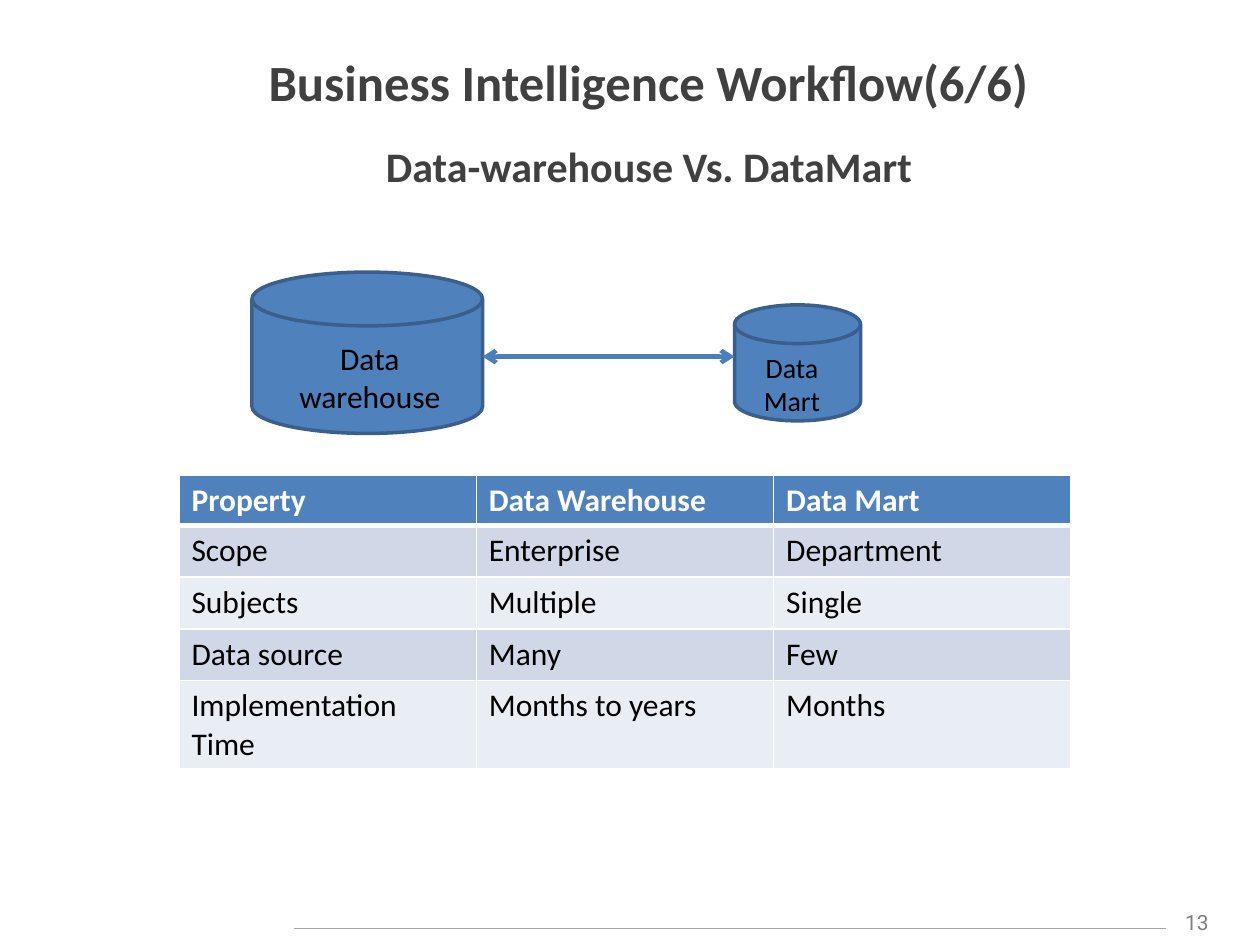
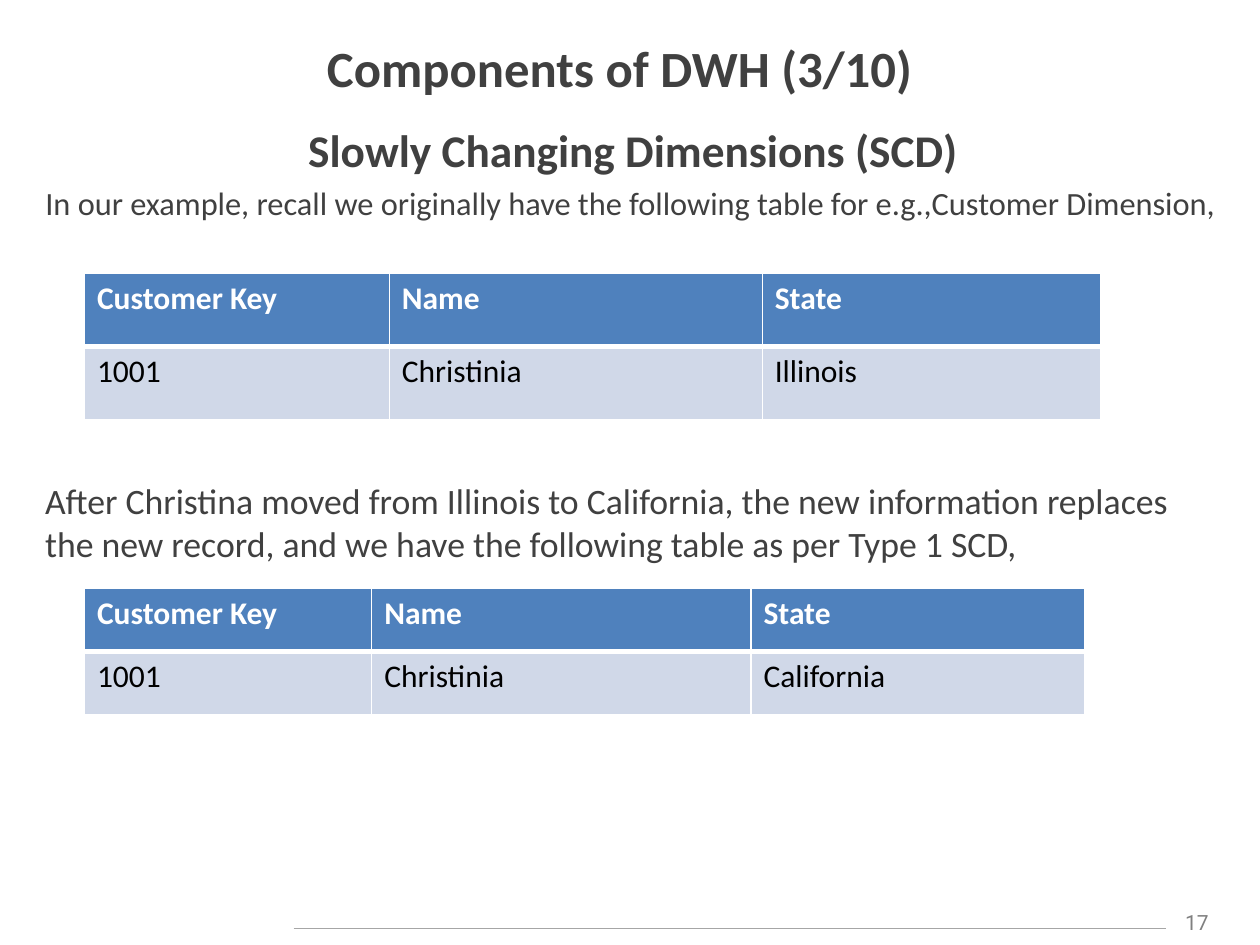
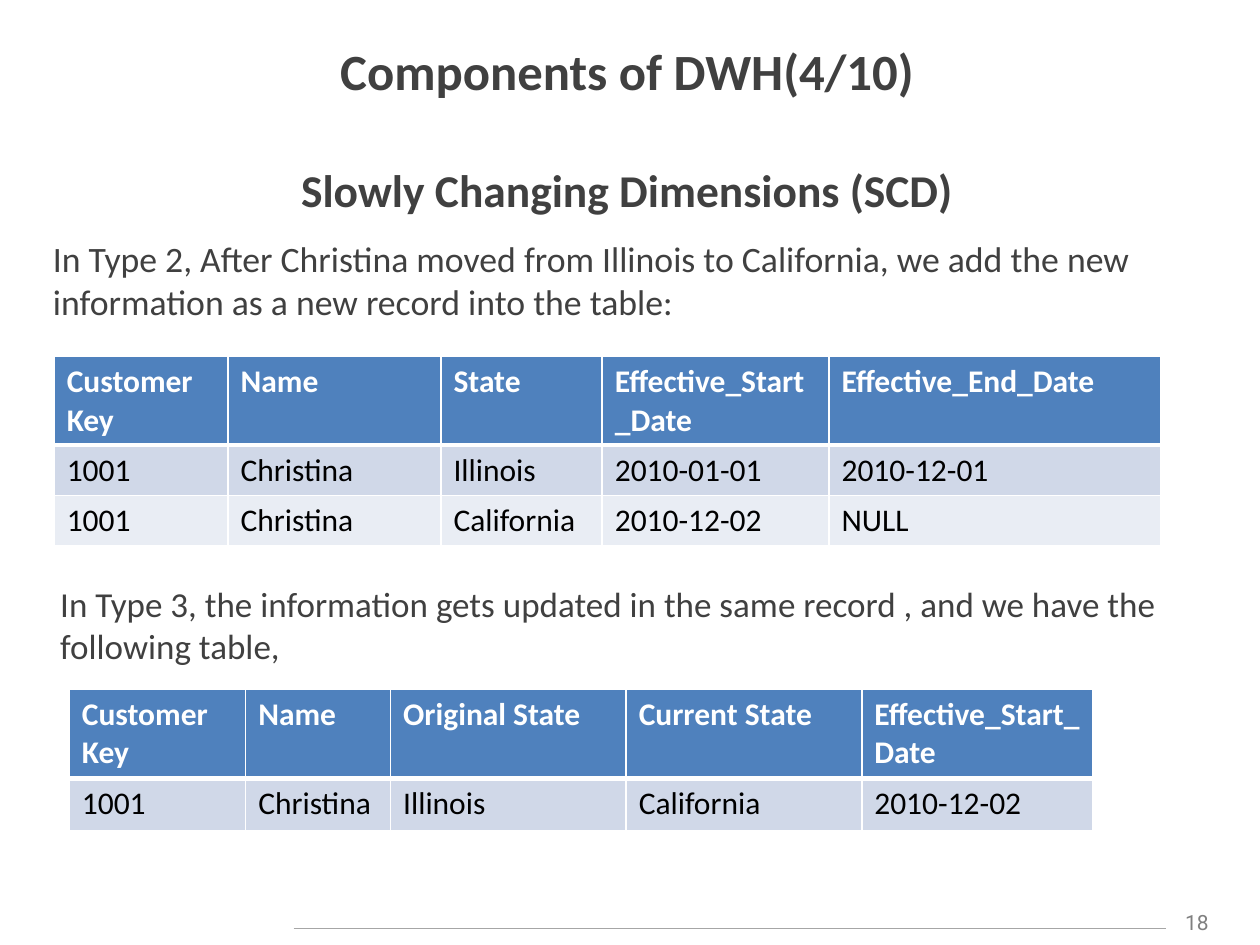
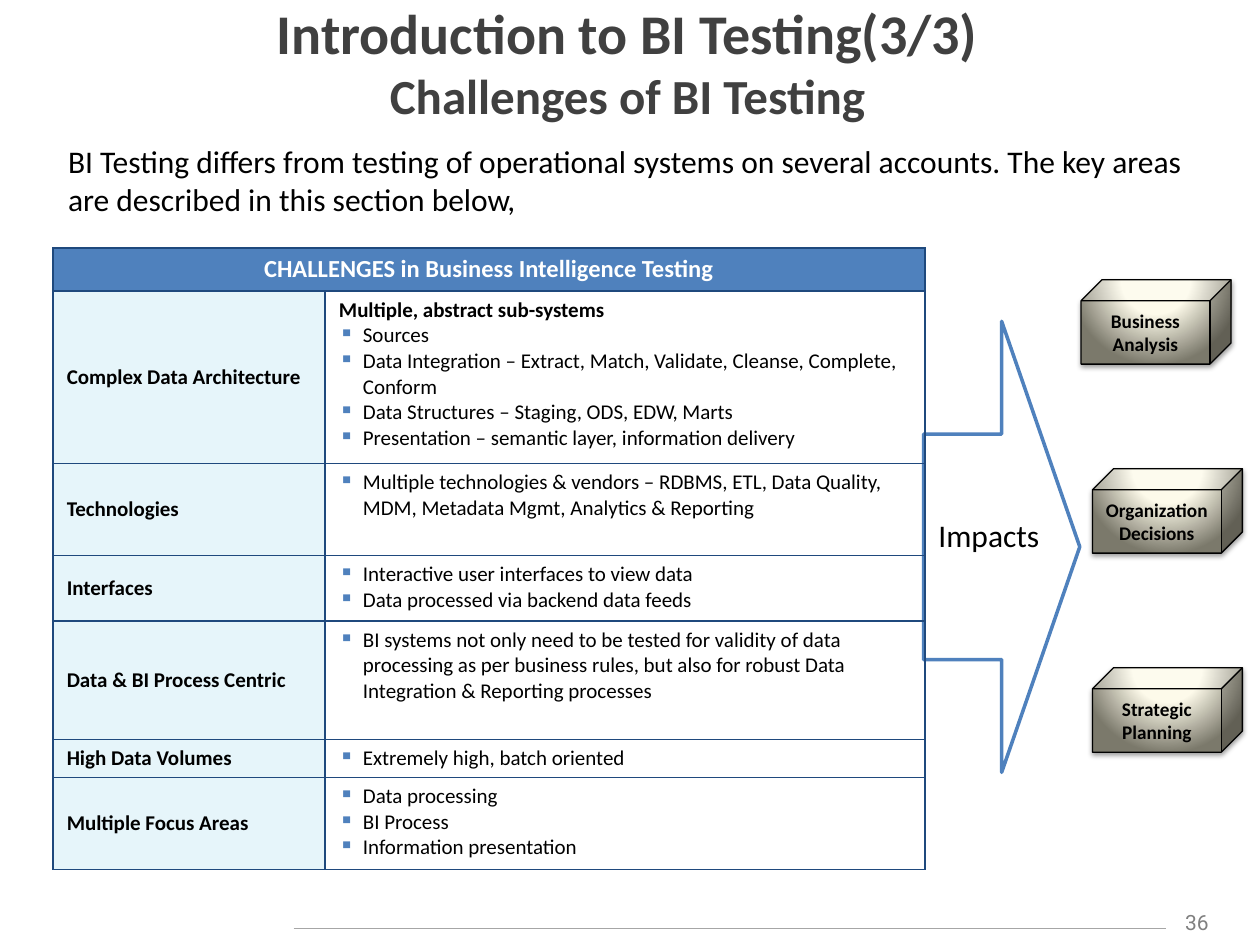
from lxml import etree
from pptx import Presentation
from pptx import util as u
from pptx.dml.color import RGBColor
from pptx.enum import shapes, text
from pptx.oxml import parse_xml
from pptx.oxml.ns import nsdecls, qn

COLORS = {
    "dark": "404040", "black": "000000", "white": "FFFFFF", "gray": "808080",
    "rule": "A6A6A6", "blue": "4F81BD", "outline": "3A5F8C", "arrow": "4B7EBC",
    "navy": "1F497D", "band": "D0D8E8", "light": "E9EDF4", "label": "E6F5FA",
}
CENTER = text.PP_ALIGN.CENTER
LEFT = text.PP_ALIGN.LEFT
MIDDLE = text.MSO_ANCHOR.MIDDLE
TOP = text.MSO_ANCHOR.TOP


def write(frame, words, size, color="black", bold=False, align=LEFT, gap=0, bullet=False, font="Calibri"):
    paragraph = frame.add_paragraph() if frame.text else frame.paragraphs[0]
    properties = paragraph._p.get_or_add_pPr()
    indent = u.Inches(0.19) if bullet else 0
    properties.set("marL", str(indent))
    properties.set("indent", str(-indent))
    if bullet:
        bullet_color = etree.SubElement(properties, qn("a:buClr"))
        etree.SubElement(bullet_color, qn("a:srgbClr"), val=COLORS["blue"])
        etree.SubElement(properties, qn("a:buChar"), char="▪")
    else:
        etree.SubElement(properties, qn("a:buNone"))
    paragraph.alignment = align
    paragraph.space_before = u.Pt(gap)
    run = paragraph.add_run()
    run.text = words
    run.font.name = font
    run.font.size = u.Pt(size)
    run.font.bold = bold
    run.font.color.rgb = RGBColor.from_string(COLORS[color])


def paint(cell, fill, border, top=1, bottom=1):
    properties = cell._tc.get_or_add_tcPr()
    for side, width in (("L", 1), ("R", 1), ("T", top), ("B", bottom)):
        line = etree.SubElement(properties, qn("a:ln" + side), w=str(u.Pt(width)))
        solid = etree.SubElement(line, qn("a:solidFill"))
        etree.SubElement(solid, qn("a:srgbClr"), val=COLORS[border])
    if fill:
        cell.fill.solid()
        cell.fill.fore_color.rgb = RGBColor.from_string(COLORS[fill])
    else:
        cell.fill.background()


presentation = Presentation()
presentation.slide_width = u.Inches(10)
presentation.slide_height = u.Inches(7.5)

headings = [
    ("13", (0.47, 0.33, 9.36, 0.63), [("Business Intelligence Workflow(6/6)", 29)], 0,
     (0.47, 1, 9.36, 0.63), MIDDLE),
    ("17", (0.24, 0.42, 9.36, 0.63), [("Components of DWH (3/10)", 29)], 0,
     (0.26, 0.92, 9.53, 1.17), TOP),
    ("18", (0.3, 0.7, 9.36, 0.63),
     [("Components of DWH(4/10)", 29), ("Slowly Changing Dimensions (SCD)", 26)], 35,
     (0.32, 1.83, 9.33, 0.67), TOP),
    ("36", (0.3, 0.17, 9.36, 0.63),
     [("Introduction to BI Testing(3/3)", 32), ("Challenges of BI Testing", 28)], 0,
     (0.44, 1.08, 9.33, 1), TOP),
]
slides = []
bodies = []
for page, title_place, title_lines, title_gap, body_place, body_anchor in headings:
    slide = presentation.slides.add_slide(presentation.slide_layouts[1])
    title, body = slide.placeholders
    for placeholder, place, anchor in ((title, title_place, MIDDLE), (body, body_place, body_anchor)):
        placeholder.left, placeholder.top, placeholder.width, placeholder.height = map(u.Inches, place)
        placeholder.text_frame.auto_size = text.MSO_AUTO_SIZE.NONE
        placeholder.text_frame.vertical_anchor = anchor
    for index, (words, size) in enumerate(title_lines):
        write(title.text_frame, words, size, "dark", True, CENTER, title_gap if index else 0)

    number = slide.shapes.add_textbox(u.Inches(9.25), u.Inches(7.17), u.Inches(0.5), u.Inches(0.3))
    number.text_frame.word_wrap = True
    write(number.text_frame, page, 12, "gray", align=CENTER, font="Roboto")
    rule = slide.shapes.add_connector(
        shapes.MSO_CONNECTOR.STRAIGHT, u.Inches(2.33), u.Inches(7.37), u.Inches(9.25), u.Inches(7.37))
    rule.line.color.rgb = RGBColor.from_string(COLORS["rule"])
    rule.line.width = u.Pt(0.75)
    etree.SubElement(rule._element.spPr, qn("a:effectLst"))
    slides.append(slide)
    bodies.append(body.text_frame)

mart_slide, type1_slide, type23_slide, challenge_slide = slides
type1_slide.shapes.title.text_frame.margin_bottom = u.Inches(0.45)

write(bodies[0], "Data-warehouse Vs. DataMart", 24, "dark", True, CENTER)
write(bodies[1], "Slowly Changing Dimensions (SCD)", 25.9, "dark", True, CENTER)
write(bodies[1], "In our example, recall we originally have the following table for e.g.,Customer Dimension,",
      18.5, "dark", gap=3.7)
write(bodies[2], "In Type 2, After Christina moved from Illinois to California, we add the new information "
      "as a new record into the table:", 20.4, "dark")
write(bodies[3], "BI Testing differs from testing of operational systems on several accounts. "
      "The key areas are described in this section below,", 18)

for place in ((2, 2.16, 1.83, 1.28), (5.83, 2.42, 1, 0.92)):
    disk = mart_slide.shapes.add_shape(shapes.MSO_SHAPE.FLOWCHART_MAGNETIC_DISK, *map(u.Inches, place))
    disk.shadow.inherit = False
    disk.fill.solid()
    disk.fill.fore_color.rgb = RGBColor.from_string(COLORS["blue"])
    disk.line.color.rgb = RGBColor.from_string(COLORS["outline"])
    disk.line.width = u.Pt(2)

link = mart_slide.shapes.add_connector(
    shapes.MSO_CONNECTOR.STRAIGHT, u.Inches(3.83), u.Inches(2.83), u.Inches(5.83), u.Inches(2.83))
link.line.color.rgb = RGBColor.from_string(COLORS["arrow"])
link.line.width = u.Pt(2.5)
for end in ("a:headEnd", "a:tailEnd"):
    etree.SubElement(link.line._get_or_add_ln(), qn(end), type="arrow")
etree.SubElement(link._element.spPr, qn("a:effectLst"))

arrow = challenge_slide.shapes.add_shape(
    shapes.MSO_SHAPE.RIGHT_ARROW, u.Inches(7.33), u.Inches(2.55), u.Inches(1.24), u.Inches(3.58))
arrow.shadow.inherit = False
arrow.fill.solid()
arrow.fill.fore_color.rgb = RGBColor.from_string(COLORS["white"])
arrow.line.color.rgb = RGBColor.from_string(COLORS["blue"])
arrow.line.width = u.Pt(2)

notes = [
    (mart_slide, (2.04, 2.64, 1.79, 0.71), ["Data warehouse"], 18, "black", CENTER),
    (mart_slide, (5.74, 2.73, 1.09, 0.64), ["Data", "Mart"], 16, "black", CENTER),
    (type1_slide, (0.26, 3.75, 9.33, 0.67),
     ["After Christina moved from Illinois to California, the new information replaces the new record, "
      "and we have the following table as per Type 1 SCD,"], 20.4, "dark", LEFT),
    (type23_slide, (0.38, 4.57, 9.33, 0.52),
     ["In Type 3, the information gets updated in the same record , and we have the following table,"],
     20, "dark", LEFT),
    (challenge_slide, (7.35, 4.05, 1.07, 0.4), ["Impacts"], 18, "black", LEFT),
]
for slide, place, lines, size, color, align in notes:
    box = slide.shapes.add_textbox(*map(u.Inches, place))
    box.text_frame.word_wrap = True
    for words in lines:
        write(box.text_frame, words, size, color, align=align)

tables = [
    (mart_slide, 1.42, 3.77, [2.36] * 3, [0.4, 0.41, 0.41, 0.41, 0.7], [
        ["Property", "Data Warehouse", "Data Mart"],
        ["Scope", "Enterprise", "Department"],
        ["Subjects", "Multiple", "Single"],
        ["Data source", "Many", "Few"],
        ["Implementation Time", "Months to years", "Months"]]),
    (type1_slide, 0.67, 2.17, [2.42, 2.96, 2.69], [0.58] * 2, [
        ["Customer Key", "Name", "State"],
        ["1001", "Christinia", "Illinois"]]),
    (type1_slide, 0.67, 4.67, [2.28, 3.01, 2.65], [0.5] * 2, [
        ["Customer Key", "Name", "State"],
        ["1001", "Christinia", "California"]]),
    (type23_slide, 0.43, 2.83, [1.38, 1.69, 1.28, 1.8, 2.63], [0.7, 0.4, 0.4], [
        ["Customer Key", "Name", "State", "Effective_Start_Date", "Effective_End_Date"],
        ["1001", "Christina", "Illinois", "2010-01-01", "2010-12-01"],
        ["1001", "Christina", "California", "2010-12-02", "NULL"]]),
    (type23_slide, 0.55, 5.47, [1.4, 1.15, 1.87, 1.87, 1.83], [0.71, 0.41], [
        ["Customer Key", "Name", "Original State", "Current State", "Effective_Start_Date"],
        ["1001", "Christina", "Illinois", "California", "2010-12-02"]]),
]
for slide, left, top, widths, heights, rows in tables:
    table = slide.shapes.add_table(
        len(rows), len(widths), u.Inches(left), u.Inches(top),
        u.Inches(sum(widths)), u.Inches(sum(heights))).table
    for column, width in zip(table.columns, widths):
        column.width = u.Inches(width)
    for r, (values, height) in enumerate(zip(rows, heights)):
        table.rows[r].height = u.Inches(height)
        fill = "blue" if r == 0 else "band" if r % 2 else "light"
        for c, value in enumerate(values):
            cell = table.cell(r, c)
            paint(cell, fill, "white", 3 if r == 1 else 1, 3 if r == 0 else 1)
            write(cell.text_frame, value, 18, "black" if r else "white", r == 0)

challenges = [
    ("Complex Data Architecture", 1.37, [
        "Sources",
        "Data Integration – Extract, Match, Validate, Cleanse, Complete, Conform",
        "Data Structures – Staging, ODS, EDW, Marts",
        "Presentation – semantic layer, information delivery"]),
    ("Technologies", 0.73, [
        "Multiple technologies & vendors – RDBMS, ETL, Data Quality, MDM, Metadata Mgmt, Analytics & Reporting"]),
    ("Interfaces", 0.52, [
        "Interactive user interfaces to view data",
        "Data processed via backend data feeds"]),
    ("Data & BI Process Centric", 0.94, [
        "BI systems not only need to be tested for validity of data processing as per business rules, "
        "but also for robust Data Integration & Reporting processes"]),
    ("High Data Volumes", 0.3, ["Extremely high, batch oriented"]),
    ("Multiple Focus Areas", 0.73, ["Data processing", "BI Process", "Information presentation"]),
]
table = challenge_slide.shapes.add_table(
    len(challenges) + 1, 2, u.Inches(0.42), u.Inches(1.97), u.Inches(6.92), u.Inches(4.93)).table
table.columns[0].width = u.Inches(2.16)
table.columns[1].width = u.Inches(4.76)
table.rows[0].height = u.Inches(0.34)
header = table.cell(0, 0)
header.merge(table.cell(0, 1))
for cell in (header, table.cell(0, 1)):
    paint(cell, "blue", "navy")
write(header.text_frame, "CHALLENGES in Business Intelligence Testing", 14, "white", True, CENTER)
for r, (area, height, points) in enumerate(challenges, 1):
    table.rows[r].height = u.Inches(height)
    label, details = table.cell(r, 0), table.cell(r, 1)
    for cell, fill in ((label, "label"), (details, None)):
        cell.margin_left = cell.margin_right = u.Inches(0.11)
        paint(cell, fill, "navy")
    label.vertical_anchor = MIDDLE
    write(label.text_frame, area, 12, bold=True)
    if r == 1:
        write(details.text_frame, "Multiple, abstract sub-systems", 12, bold=True)
    for point in points:
        write(details.text_frame, point, 12, bullet=True)

gradient = (
    f'<a:gradFill {nsdecls("a")} rotWithShape="1"><a:gsLst>'
    '<a:gs pos="0"><a:srgbClr val="FEFCEE"/></a:gs>'
    '<a:gs pos="40000"><a:srgbClr val="FDFAEA"/></a:gs>'
    '<a:gs pos="100000"><a:srgbClr val="7B796B"/></a:gs></a:gsLst>'
    '<a:path path="circle"><a:fillToRect l="50000" t="-80000" r="50000" b="180000"/></a:path></a:gradFill>')
shadow = (
    f'<a:outerShdw {nsdecls("a")} blurRad="{u.Pt(3.1)}" dist="{u.Pt(1.6)}" dir="5400000" rotWithShape="0">'
    '<a:srgbClr val="000000"><a:alpha val="38000"/></a:srgbClr></a:outerShdw>')
impacts = [
    (8.58, 2.22, ["Business", "Analysis"]),
    (8.67, 3.72, ["Organization", "Decisions"]),
    (8.67, 5.3, ["Strategic", "Planning"]),
]
for left, top, lines in impacts:
    cube = challenge_slide.shapes.add_shape(
        shapes.MSO_SHAPE.CUBE, u.Inches(left), u.Inches(top), u.Inches(1.19), u.Inches(0.67))
    cube.fill.background()
    cube.line.color.rgb = RGBColor.from_string(COLORS["black"])
    cube.line.width = u.Pt(0.75)
    cube.shadow.inherit = False
    properties = cube._element.spPr
    properties.replace(properties.find(qn("a:noFill")), parse_xml(gradient))
    properties.find(qn("a:effectLst")).append(parse_xml(shadow))
    frame = cube.text_frame
    frame.margin_left = frame.margin_right = u.Inches(0.05)
    frame.vertical_anchor = MIDDLE
    for words in lines:
        write(frame, words, 11, bold=True, align=CENTER)

presentation.save("out.pptx")
